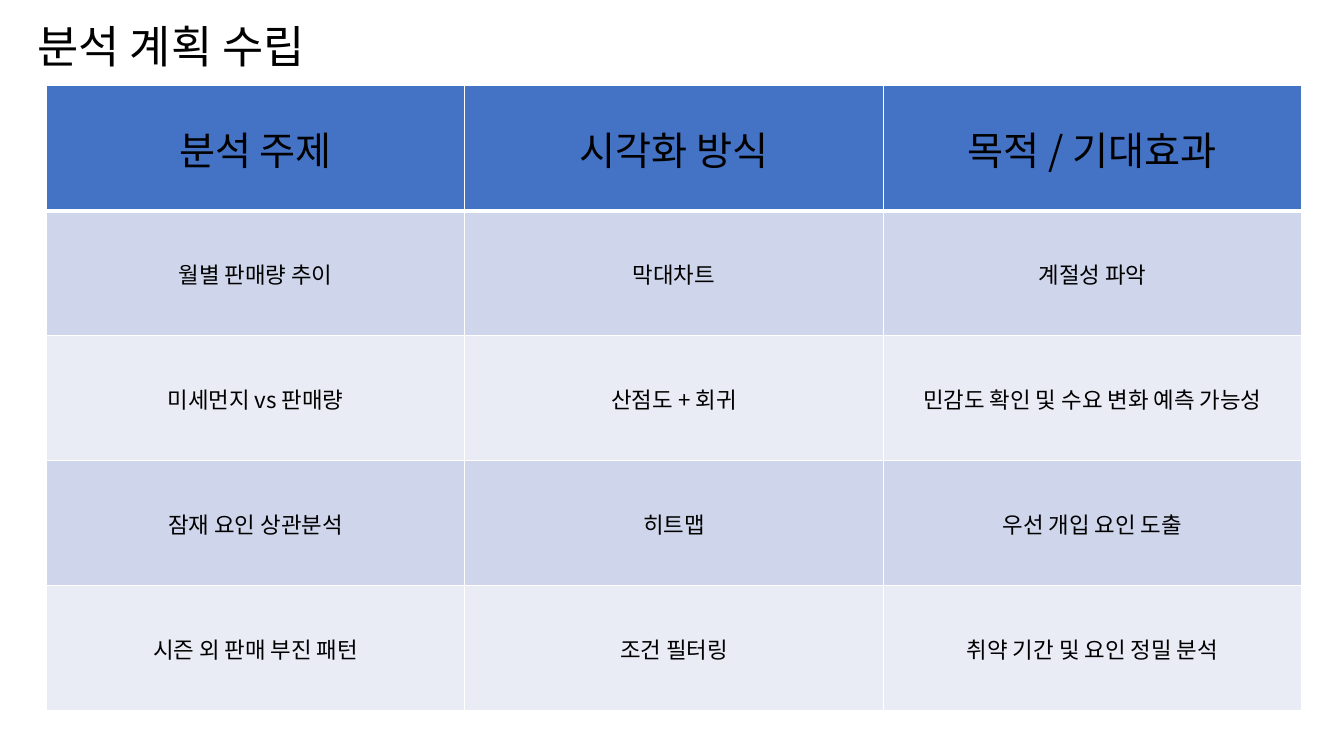
from dataclasses import dataclass

from lxml import etree
from pptx import Presentation, util as u
from pptx.dml import color
from pptx.enum import text
from pptx.oxml import ns

FONT = "Noto Sans CJK KR"
BLACK, WHITE = "000000", "FFFFFF"
HEAD_FILL, BANDS = "4472C4", ("CFD5EA", "E9EBF5")
COL_W, ROW_H = 4.15, 1.24


@dataclass
class Plan:
    topic: str
    chart: str
    goal: str


HEAD = Plan("분석 주제", "시각화 방식", "목적 / 기대효과")
PLANS = [
    Plan("월별 판매량 추이", "막대차트", "계절성 파악"),
    Plan("미세먼지 vs 판매량", "산점도 + 회귀", "민감도 확인 및 수요 변화 예측 가능성"),
    Plan("잠재 요인 상관분석", "히트맵", "우선 개입 요인 도출"),
    Plan("시즌 외 판매 부진 패턴", "조건 필터링", "취약 기간 및 요인 정밀 분석"),
]


def rgb(code: str) -> color.RGBColor:
    return color.RGBColor.from_string(code)


def write(frame, words: str, *, size: float, align=text.PP_ALIGN.LEFT, gap: float = 1.0) -> None:
    frame.word_wrap = True
    para = frame.paragraphs[0]
    para.alignment, para.line_spacing = align, gap
    run = para.add_run()
    run.text = words
    font = run.font
    font.name, font.size, font.bold = FONT, u.Pt(size), False
    font.color.rgb = rgb(BLACK)
    etree.SubElement(font._element, ns.qn("a:ea"), typeface=FONT)


def edge(cell, side: str, width: float) -> None:
    line = etree.SubElement(cell._tc.get_or_add_tcPr(), ns.qn(f"a:ln{side}"), w=str(u.Pt(width)))
    fill = etree.SubElement(line, ns.qn("a:solidFill"))
    etree.SubElement(fill, ns.qn("a:srgbClr"), val=WHITE)


def draw_cell(cell, words: str, row: int) -> None:
    top, base = (3 if row == 1 else 1), (3 if row == 0 else 1)
    for side, width in zip("LRTB", (1, 1, top, base)):
        edge(cell, side, width)
    cell.fill.solid()
    cell.fill.fore_color.rgb = rgb(BANDS[(row - 1) % 2] if row else HEAD_FILL)
    cell.margin_left = cell.margin_right = cell.margin_top = u.Inches(0.01)
    cell.margin_bottom = 0
    cell.vertical_anchor = text.MSO_ANCHOR.MIDDLE
    write(cell.text_frame, words, size=16 if row else 28, align=text.PP_ALIGN.CENTER)


def draw_table(slide, plans: list[Plan]) -> None:
    frame = slide.shapes.add_table(
        len(plans), 3, u.Inches(0.46), u.Inches(0.85),
        u.Inches(3 * COL_W), u.Inches(len(plans) * ROW_H))
    table = frame.table
    for col in table.columns:
        col.width = u.Inches(COL_W)
    for row, plan in enumerate(plans):
        table.rows[row].height = u.Inches(ROW_H)
        for col, words in enumerate((plan.topic, plan.chart, plan.goal)):
            draw_cell(table.cell(row, col), words, row)


def draw_title(slide, words: str) -> None:
    title = slide.shapes.title
    title.left, title.top = u.Inches(0.27), u.Inches(0.14)
    title.width, title.height = u.Inches(11.5), u.Inches(0.69)
    frame = title.text_frame
    frame.auto_size = text.MSO_AUTO_SIZE.NONE
    frame.vertical_anchor = text.MSO_ANCHOR.MIDDLE
    write(frame, words, size=32, gap=0.9)


def main() -> None:
    """Build the analysis plan slide."""
    deck = Presentation()
    deck.slide_width, deck.slide_height = u.Inches(13.33), u.Inches(7.5)
    slide = deck.slides.add_slide(deck.slide_layouts[5])
    draw_title(slide, "분석 계획 수립")
    draw_table(slide, [HEAD, *PLANS])
    deck.save("out.pptx")


if __name__ == "__main__":
    main()
